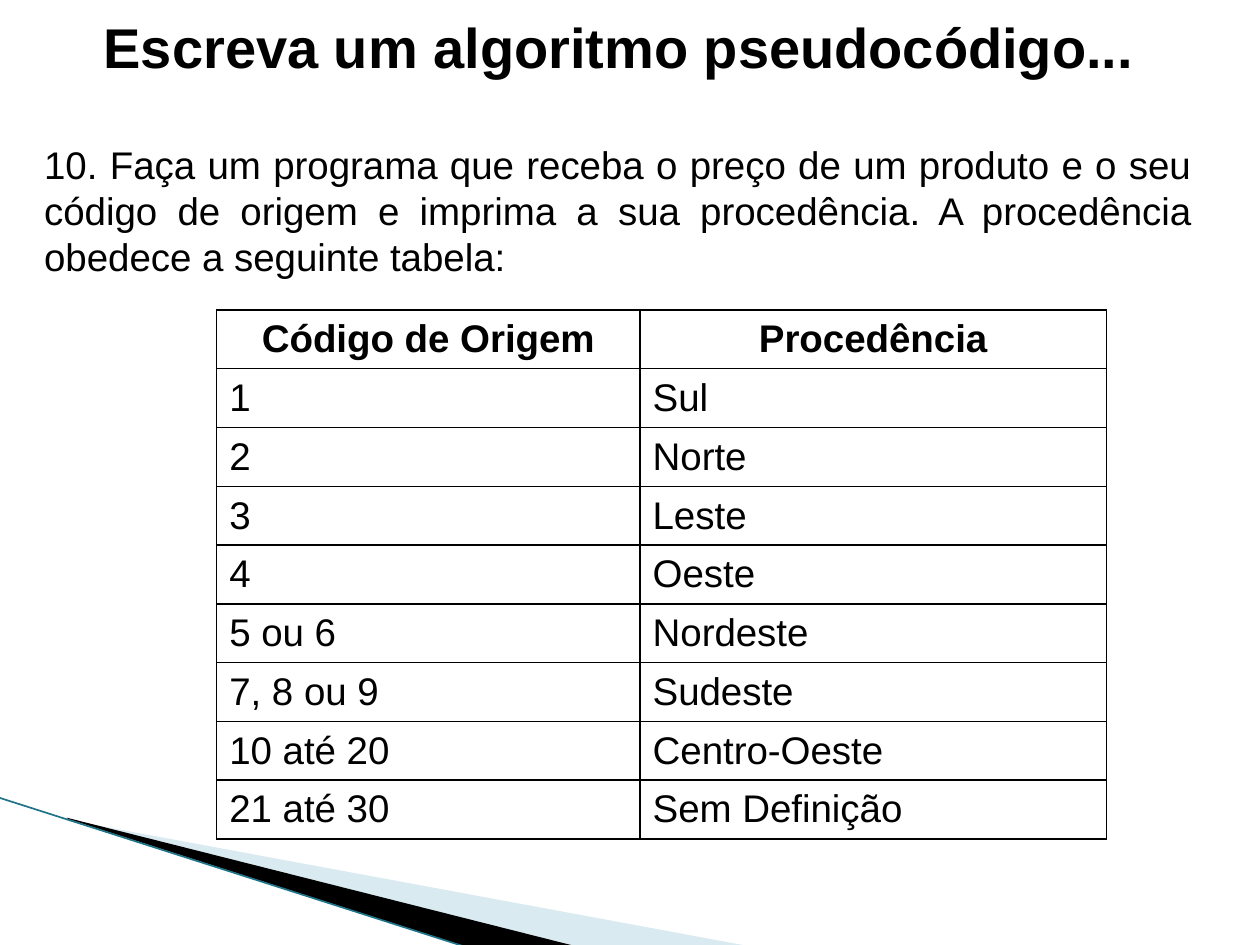
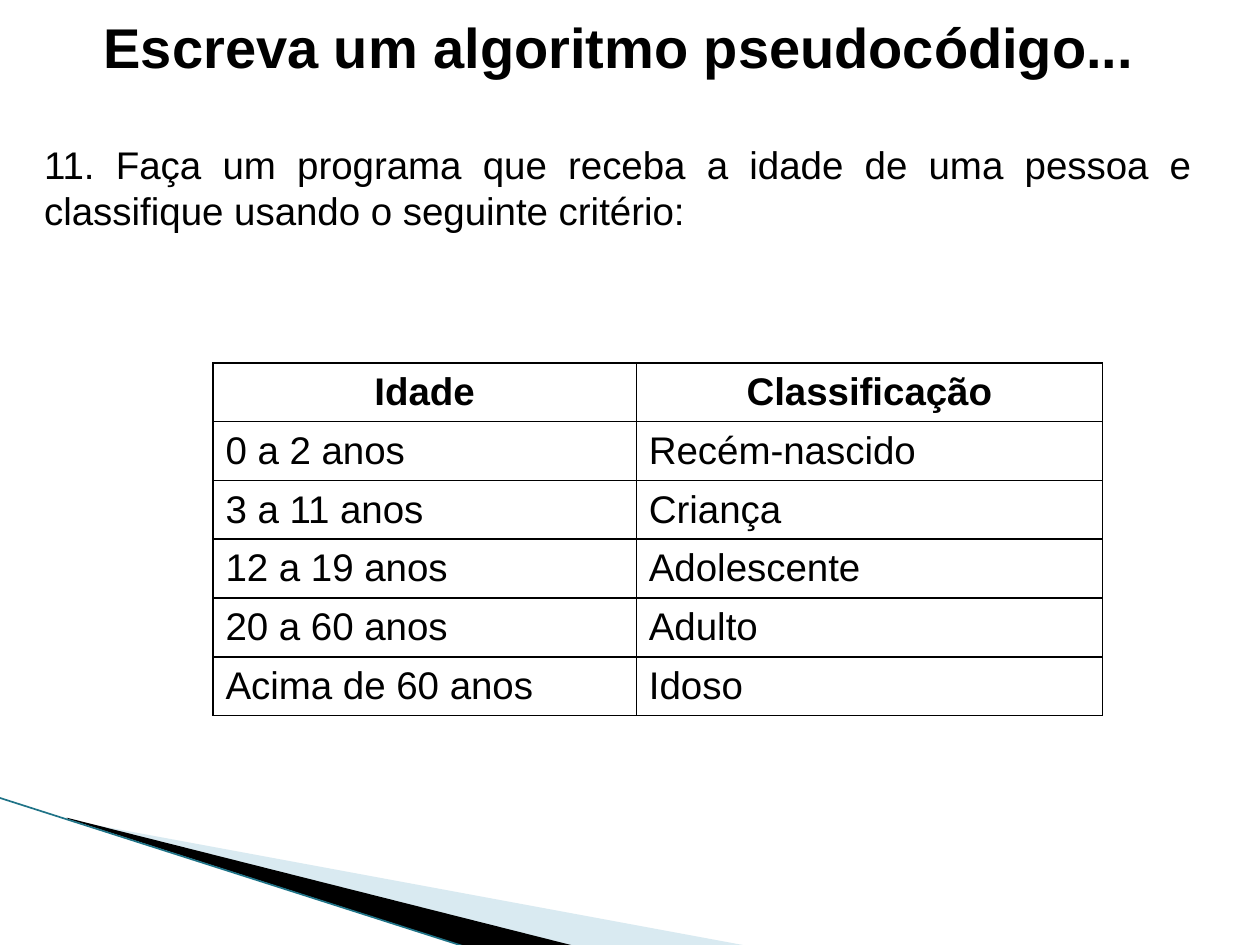
"""Build two exercise slides, each with a statement and a lookup table."""
from dataclasses import dataclass

from lxml import etree
from pptx import Presentation
from pptx.dml.color import RGBColor
from pptx.enum.shapes import MSO_CONNECTOR
from pptx.enum.text import MSO_ANCHOR, MSO_AUTO_SIZE, PP_ALIGN
from pptx.oxml.ns import qn
from pptx.shapes.autoshape import Shape
from pptx.slide import Slide, SlideLayout
from pptx.table import _Cell
from pptx.text.text import _Paragraph
from pptx.util import Inches, Pt

CENTER, JUSTIFY, LEFT = PP_ALIGN.CENTER, PP_ALIGN.JUSTIFY, PP_ALIGN.LEFT
TOP, MIDDLE = MSO_ANCHOR.TOP, MSO_ANCHOR.MIDDLE
NO_AUTOFIT = MSO_AUTO_SIZE.NONE
STRAIGHT = MSO_CONNECTOR.STRAIGHT

COLORS = {"text": "000000", "pale": "A0CBDC", "dark": "000000", "edge": "1F7387"}
FONT = "Arial"
TITLE = "Escreva um algoritmo pseudocódigo..."
TITLE_SIZE, TEXT_SIZE = 32, 22
COLUMN_WIDTHS = (3.36, 3.7)
BORDER_SIDES = ("a:lnL", "a:lnR", "a:lnT", "a:lnB")

Box = tuple[float, float, float, float]
Point = tuple[float, float]


@dataclass(frozen=True)
class Wedge:
    """A filled outline of the corner decoration."""
    points: tuple[Point, ...]
    color: str
    opacity: int = 100


@dataclass(frozen=True)
class Exercise:
    """A statement and the table that goes with it."""
    statement: str
    statement_height: float
    table_box: Box
    rows: tuple[tuple[str, str], ...]


WEDGES = (
    Wedge(((0.55, 6.51), (5.95, 7.51), (4.56, 7.51), (0.55, 6.5)), "pale", 40),
    Wedge(((0.53, 6.49), (4.57, 7.51), (3.72, 7.52), (0.54, 6.5)), "dark"),
)

EXERCISES = (
    Exercise(
        "10. Faça um programa que receba o preço de um produto e o seu código de "
        "origem e imprima a sua procedência. A procedência obedece a seguinte tabela:",
        1.21,
        (1.72, 2.46, 7.06, 4.2),
        (
            ("Código de Origem", "Procedência"),
            ("1", "Sul"),
            ("2", "Norte"),
            ("3", "Leste"),
            ("4", "Oeste"),
            ("5 ou 6", "Nordeste"),
            ("7, 8 ou 9", "Sudeste"),
            ("10 até 20", "Centro-Oeste"),
            ("21 até 30", "Sem Definição"),
        ),
    ),
    Exercise(
        "11. Faça um programa que receba a idade de uma pessoa e classifique "
        "usando o seguinte critério:",
        0.84,
        (1.69, 2.88, 7.06, 2.8),
        (
            ("Idade", "Classificação"),
            ("0 a 2 anos", "Recém-nascido"),
            ("3 a 11 anos", "Criança"),
            ("12 a 19 anos", "Adolescente"),
            ("20 a 60 anos", "Adulto"),
            ("Acima de 60 anos", "Idoso"),
        ),
    ),
)


def rgb(name: str) -> RGBColor:
    """Return the named palette colour."""
    return RGBColor.from_string(COLORS[name])


def format_paragraph(paragraph: _Paragraph, size: int, alignment: PP_ALIGN,
                     bold: bool = False) -> None:
    """Apply the shared text style to a paragraph."""
    paragraph.alignment = alignment
    paragraph.space_before = Pt(0)
    font = paragraph.font
    font.name, font.size, font.bold = FONT, Pt(size), bold
    font.color.rgb = rgb("text")


def fill_placeholder(placeholder: Shape, text: str, box: Box, size: int,
                     alignment: PP_ALIGN, bold: bool = False) -> None:
    """Place a placeholder and write one unbulleted paragraph in it."""
    left, top, width, height = map(Inches, box)
    placeholder.left, placeholder.top = left, top
    placeholder.width, placeholder.height = width, height
    frame = placeholder.text_frame
    frame.text = text
    frame.word_wrap = True
    frame.auto_size = NO_AUTOFIT
    frame.vertical_anchor = TOP
    paragraph = frame.paragraphs[0]
    format_paragraph(paragraph, size, alignment, bold)
    properties = paragraph._p.get_or_add_pPr()
    properties.set("marL", "0")
    properties.set("indent", "0")
    bullet = etree.Element(qn("a:buNone"))
    properties.find(qn("a:spcBef")).addnext(bullet)


def draw_wedge(slide: Slide, wedge: Wedge) -> Shape:
    """Draw one wedge of the corner decoration."""
    start, *others = [(Inches(x), Inches(y)) for x, y in wedge.points]
    builder = slide.shapes.build_freeform(*start)
    builder.add_line_segments(others, close=True)
    shape = builder.convert_to_shape()
    shape.shadow.inherit = False
    shape.fill.solid()
    shape.fill.fore_color.rgb = rgb(wedge.color)
    shape.line.fill.background()
    if wedge.opacity < 100:
        color = shape._element.spPr.find(qn("a:solidFill"))[0]
        etree.SubElement(color, qn("a:alpha"), val=str(wedge.opacity * 1000))
    return shape


def add_decoration(slide: Slide, layout: SlideLayout) -> None:
    """Draw the corner decoration and hand it over to the layout."""
    shapes = [draw_wedge(slide, wedge) for wedge in WEDGES]
    edge = slide.shapes.add_connector(
        STRAIGHT, Inches(-0.01), Inches(6.33), Inches(3.71), Inches(7.52))
    edge.line.color.rgb = rgb("edge")
    edge.line.width = Pt(0.95)
    etree.SubElement(edge._element.spPr, qn("a:effectLst"))
    for shape in (*shapes, edge):
        layout.shapes.element.append(shape.element)


def add_borders(cell: _Cell) -> None:
    """Give a cell thin borders on all four sides."""
    properties = cell._tc.get_or_add_tcPr()
    for side in BORDER_SIDES:
        line = etree.SubElement(properties, qn(side), w=str(Pt(1)))
        fill = etree.SubElement(line, qn("a:solidFill"))
        etree.SubElement(fill, qn("a:srgbClr"), val=COLORS["text"])


def add_lookup_table(slide: Slide, exercise: Exercise) -> None:
    """Add the two-column table of an exercise."""
    table = slide.shapes.add_table(
        len(exercise.rows), len(COLUMN_WIDTHS), *map(Inches, exercise.table_box)).table
    table.first_row = table.horz_banding = False
    for column, width in zip(table.columns, COLUMN_WIDTHS):
        column.width = Inches(width)
    for row_index, row in enumerate(exercise.rows):
        header = row_index == 0
        for column_index, text in enumerate(row):
            cell = table.cell(row_index, column_index)
            cell.text = text
            cell.vertical_anchor = MIDDLE
            add_borders(cell)
            cell.fill.background()
            format_paragraph(cell.text_frame.paragraphs[0], TEXT_SIZE,
                             CENTER if header else LEFT, header)


def add_exercise(slide: Slide, exercise: Exercise) -> None:
    """Fill a slide with its title, statement and table."""
    fill_placeholder(slide.shapes.title, TITLE, (0.07, 0.05, 9.69, 0.64),
                     TITLE_SIZE, CENTER, bold=True)
    fill_placeholder(slide.placeholders[1], exercise.statement,
                     (0.25, 1.07, 9.31, exercise.statement_height), TEXT_SIZE, JUSTIFY)
    add_lookup_table(slide, exercise)


def main() -> None:
    """Build and save the presentation."""
    presentation = Presentation()
    presentation.slide_width, presentation.slide_height = Inches(10), Inches(7.5)
    layout = presentation.slide_layouts[1]
    slides = [presentation.slides.add_slide(layout) for _ in EXERCISES]
    add_decoration(slides[0], layout)
    for slide, exercise in zip(slides, EXERCISES):
        add_exercise(slide, exercise)
    presentation.save("out.pptx")


main()
